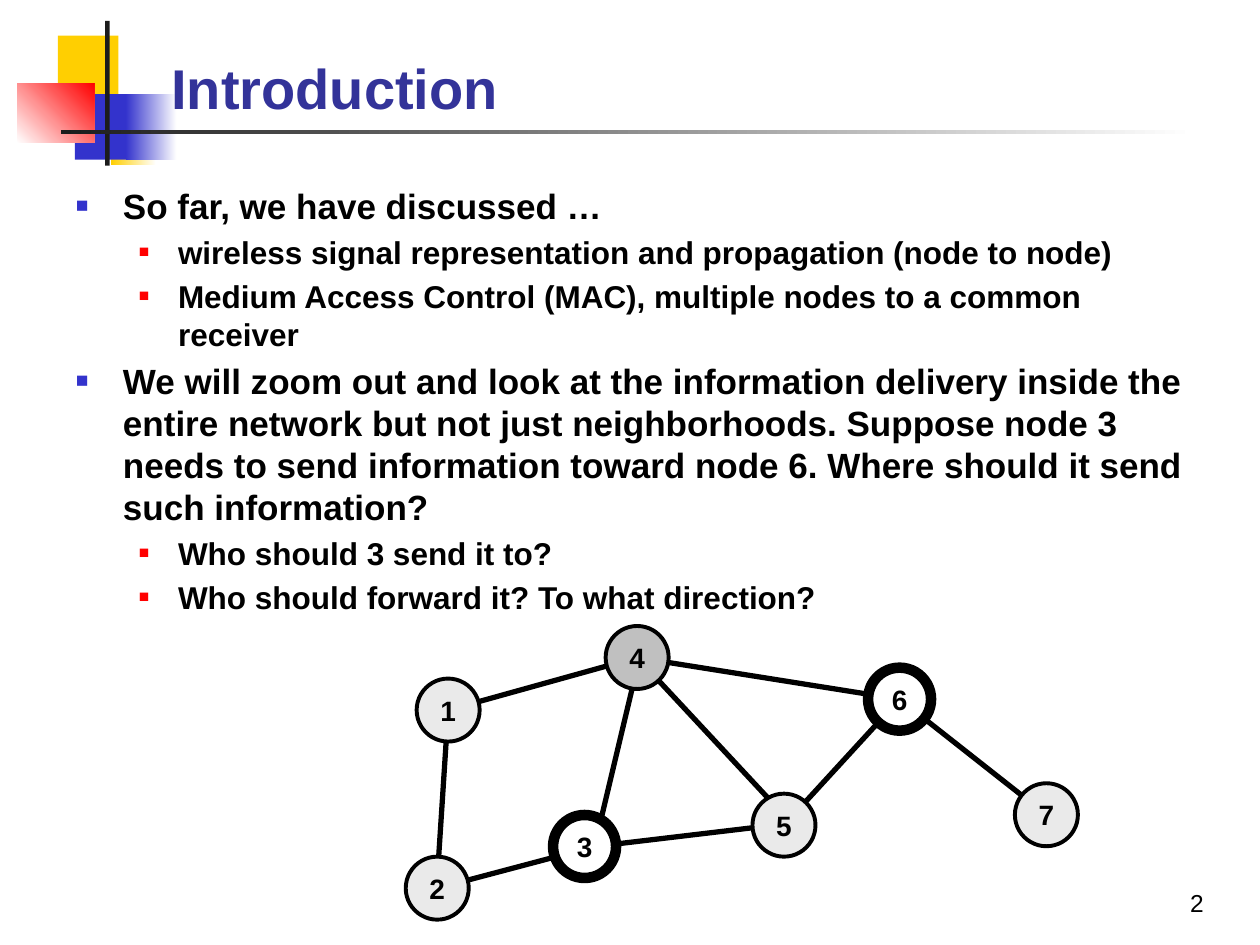
from lxml import etree
from pptx import Presentation
from pptx import util as u
from pptx.dml.color import RGBColor
from pptx.enum import shapes, text
from pptx.oxml import ns

Cm, Pt = u.Cm, u.Pt
HUES = {
    "gold": "FFCF01", "blue": "3333CC", "red": "FF0000", "dark": "1C1C1C",
    "white": "FFFFFF", "black": "000000", "title": "333399",
    "pale": "EAEAEA", "grey": "C0C0C0",
}


def hue(name):
    return RGBColor.from_string(HUES[name])


def write(para, words, size, color="black", bold=True):
    run = para.add_run()
    run.text = words
    form = {"name": "Arial", "size": Pt(size), "bold": bold}
    for key, val in form.items():
        setattr(run.font, key, val)
    run.font.color.rgb = hue(color)


deck = Presentation()
deck.slide_width, deck.slide_height = Cm(25.4), Cm(19.05)
slide = deck.slides.add_slide(deck.slide_layouts[5])
items = slide.shapes

# Corner blocks and rules: left, top, width, height, colours, gradient angle
blocks = [
    (1.17, 0.72, 1.22, 1.32, ["gold"], 0),
    (2.24, 2.01, 0.91, 1.32, ["gold", "white"], 0),
    (1.51, 1.9, 1.17, 1.32, ["blue"], 0),
    (2.54, 1.9, 1.02, 1.32, ["blue", "white"], 0),
    (0.35, 1.68, 1.55, 1.2, ["white", "red"], 45),
    (2.12, 0.42, 0.09, 2.92, ["dark"], 0),
    (1.23, 2.62, 22.86, 0.08, ["dark", "white"], 0),
]
for *place, tints, angle in blocks:
    block = items.add_shape(shapes.MSO_SHAPE.RECTANGLE, *map(Cm, place))
    block.shadow.inherit = False
    block.line.fill.background()
    if len(tints) == 1:
        block.fill.solid()
        block.fill.fore_color.rgb = hue(tints[0])
    else:
        block.fill.gradient()
        block.fill.gradient_angle = angle
        for stop, tint, pos in zip(block.fill.gradient_stops, tints, (0, 1)):
            stop.color.rgb = hue(tint)
            stop.position = pos

# Title, in front of the blocks
title = items.title
items.element.append(title.element)
spot = {"left": 3.2, "top": 0.46, "width": 21.64, "height": 2.11}
for key, val in spot.items():
    setattr(title, key, Cm(val))
frame = title.text_frame
form = {"vertical_anchor": text.MSO_ANCHOR.BOTTOM, "word_wrap": True,
        "auto_size": text.MSO_AUTO_SIZE.NONE}
for key, val in form.items():
    setattr(frame, key, val)
frame.paragraphs[0].alignment = text.PP_ALIGN.LEFT
write(frame.paragraphs[0], "Introduction", 32, "title")

# Bulleted text: size, left margin, hanging indent, bullet colour, bullet size
levels = [(20, 0.95, 0.95, "blue", 60), (18, 2.06, 0.79, "red", 55)]
points = [
    (0, "So far, we have discussed …"),
    (1, "wireless signal representation and propagation (node to node)"),
    (1, "Medium Access Control (MAC), multiple nodes to a common receiver"),
    (0, "We will zoom out and look at the information delivery inside the "
        "entire network but not just neighborhoods. Suppose node 3 needs to "
        "send information toward node 6. Where should it send such "
        "information?"),
    (1, "Who should 3 send it to?"),
    (1, "Who should forward it? To what direction?"),
]
body = items.add_textbox(Cm(1.28), Cm(3.6), Cm(23.06), Cm(14.4)).text_frame
body.word_wrap = True
for num, (level, words) in enumerate(points):
    para = body.add_paragraph() if num else body.paragraphs[0]
    size, left, hang, tint, scale = levels[level]
    write(para, words, size)
    para.level = level
    props = para._p.get_or_add_pPr()
    props.set("marL", str(Cm(left)))
    props.set("indent", str(-Cm(hang)))
    gap = etree.SubElement(props, ns.qn("a:spcBef"))
    etree.SubElement(gap, ns.qn("a:spcPct"), val="20000")
    ink = etree.SubElement(props, ns.qn("a:buClr"))
    etree.SubElement(ink, ns.qn("a:srgbClr"), val=HUES[tint])
    etree.SubElement(props, ns.qn("a:buSzPct"), val=str(scale * 1000))
    etree.SubElement(props, ns.qn("a:buFont"), typeface="Arial")
    etree.SubElement(props, ns.qn("a:buChar"), char="■")

page = items.add_textbox(Cm(22.86), Cm(17.78), Cm(2.54), Cm(1.27)).text_frame
page.word_wrap = True
page.paragraphs[0].alignment = text.PP_ALIGN.CENTER
write(page.paragraphs[0], "2", 14, bold=False)

# Network: node number -> left, top, fill, outline width
SIZE = 1.27
nodes = {
    1: (8.4, 13.68, "pale", 2.25),
    4: (12.21, 12.62, "grey", 2.25),
    3: (11.15, 16.43, "white", 6),
    5: (15.17, 16, "pale", 2.25),
    2: (8.18, 17.27, "pale", 2.25),
    6: (17.5, 13.46, "white", 6),
    7: (20.46, 15.79, "pale", 2.25),
}
# Each link: start, end, then the offset of either tip from the node centre
STILL, UP, DOWN, LEFT, RIGHT = (0, 0), (0, -0.2), (0, 0.2), (-0.2, 0), (0.2, 0)
links = [
    (6, 7, STILL, STILL), (1, 2, STILL, UP), (4, 5, STILL, UP),
    (2, 3, STILL, RIGHT), (1, 4, STILL, STILL), (4, 3, DOWN, RIGHT),
    (3, 5, RIGHT, LEFT), (4, 6, STILL, STILL), (6, 5, STILL, STILL),
]
for start, end, *shifts in links:
    tips = [Cm(nodes[num][axis] + SIZE / 2 + shift[axis])
            for num, shift in zip((start, end), shifts) for axis in (0, 1)]
    link = items.add_connector(shapes.MSO_CONNECTOR.STRAIGHT, *tips)
    link.line.color.rgb = hue("black")
    link.line.width = Pt(3)
    etree.SubElement(link.element.spPr, ns.qn("a:effectLst"))

for num, (x, y, tint, width) in nodes.items():
    node = items.add_shape(shapes.MSO_SHAPE.OVAL,
                           Cm(x), Cm(y), Cm(SIZE), Cm(SIZE))
    node.shadow.inherit = False
    node.fill.solid()
    node.fill.fore_color.rgb = hue(tint)
    node.line.color.rgb = hue("black")
    node.line.width = Pt(width)
    frame = node.text_frame
    frame.word_wrap = False
    frame.vertical_anchor = text.MSO_ANCHOR.MIDDLE
    frame.paragraphs[0].alignment = text.PP_ALIGN.CENTER
    write(frame.paragraphs[0], str(num), 16)

deck.save("out.pptx")
